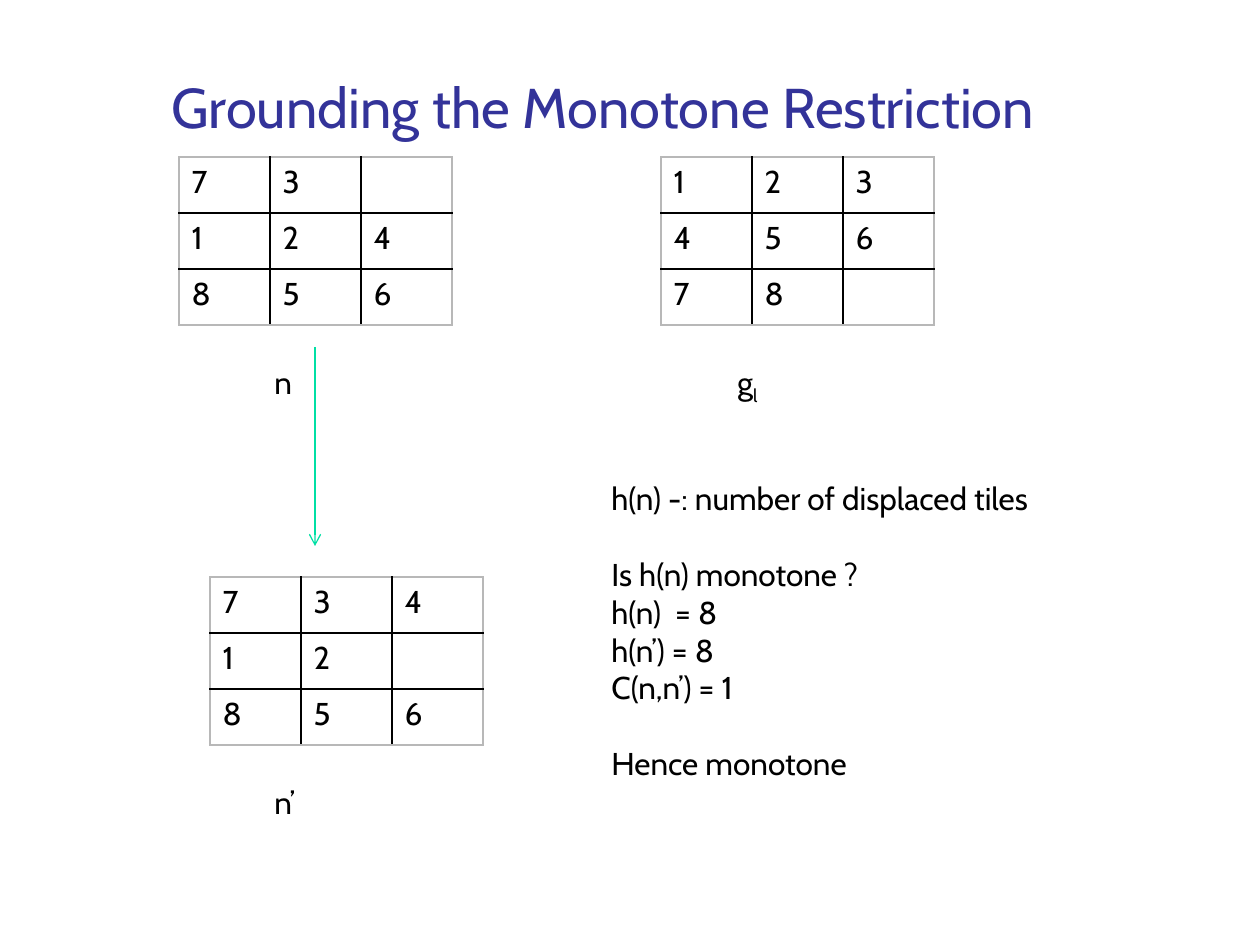
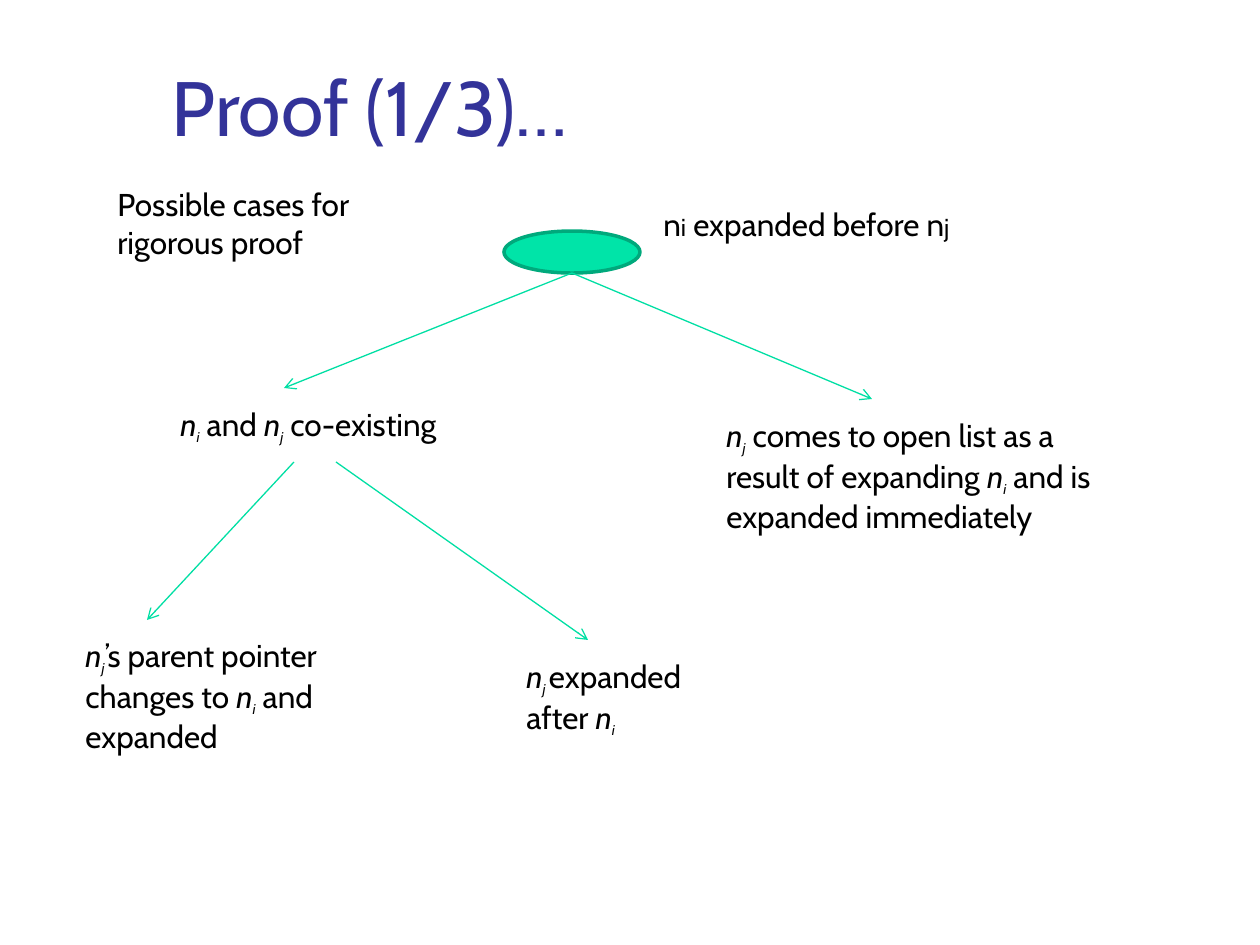
from dataclasses import dataclass

from lxml.etree import SubElement
from pptx import Presentation
from pptx.dml.color import RGBColor as Color
from pptx.enum.shapes import MSO_CONNECTOR as Connector, MSO_SHAPE as Shape
from pptx.enum.text import MSO_ANCHOR as Anchor, PP_ALIGN as Align
from pptx.oxml.ns import qn
from pptx.util import Emu, Pt


@dataclass(frozen=True)
class Theme:
    font: str = "Cabin"
    title: str = "333399"
    text: str = "000000"
    grid: str = "000000"
    frame: str = "B8B8B8"
    arrow: str = "00DFA4"
    node: str = "00E4A8"
    node_line: str = "00A97C"
    body_size: int = 18
    small_size: int = 14
    blank_line: float = 21.7


THEME = Theme()
EMU_PER_PX = 914400 / 126
CELL_WIDTH, CELL_HEIGHT = 91, 56
LOWERED = "-25000"

STYLES = {
    "plain": {},
    "italic": {"italic": True},
    "small": {"size": Pt(THEME.small_size)},
    "lowered": {},
    "index": {"italic": True, "size": Pt(THEME.small_size)},
}
LOWERED_STYLES = ("lowered", "index")

N_I = [("n", "italic"), ("i", "index")]
N_J = [("n", "italic"), ("j", "index")]

SLIDES = [
    {
        "title": ("Grounding the Monotone Restriction", 32, (159, 29, 1074, 117)),
        "puzzles": [
            ((179, 157), ["73 ", "124", "856"]),
            ((661, 157), ["123", "456", "78 "]),
            ((210, 577), ["734", "12 ", "856"]),
        ],
        "nodes": [],
        "arrows": [((315, 347), (315, 546))],
        "texts": [
            ((262, 357, 53, 50), ["n"]),
            ((725, 357, 63, 50), [[("g", "plain"), ("l", "lowered")]]),
            ((599, 473, 483, 318), [
                "h(n) -: number of displaced tiles",
                None,
                "Is h(n) monotone ?",
                "h(n)  = 8",
                "h(n’) = 8",
                "C(n,n’) = 1",
                None,
                "Hence monotone",
            ]),
            ((262, 777, 73, 53), ["n’"]),
        ],
    },
    {
        "title": ("Proof (1/3)…", 44, (159, 29, 1074, 129)),
        "puzzles": [],
        "nodes": [(504, 231, 136, 42)],
        "arrows": [
            ((572, 273), (284, 388)),
            ((572, 273), (872, 399)),
            ((294, 462), (147, 620)),
            ((336, 462), (588, 640)),
        ],
        "texts": [
            ((651, 199, 336, 50), [[
                ("n", "plain"), ("i", "small"),
                (" expanded before n", "plain"), ("j", "small"),
            ]]),
            ((168, 399, 305, 50), [
                [*N_I, (" and ", "plain"), *N_J, (" co-existing", "plain")],
            ]),
            ((714, 410, 431, 127), [[
                *N_J, (" comes to open list as a result of expanding ", "plain"),
                *N_I, (" and is expanded immediately", "plain"),
            ]]),
            ((73, 630, 284, 127), [[
                *N_J, ("’s parent pointer changes to ", "plain"),
                *N_I, (" and expanded", "plain"),
            ]]),
            ((514, 651, 221, 89), [[
                ("n", "italic"), ("j ", "index"), ("expanded after ", "plain"), *N_I,
            ]]),
            ((105, 179, 262, 89), ["Possible cases for rigorous proof"]),
        ],
    },
]


def px(*lengths):
    return [Emu(round(length * EMU_PER_PX)) for length in lengths]


def set_attributes(target, values):
    for name, value in values.items():
        setattr(target, name, value)


def add_run(paragraph, text, style="plain", size=THEME.body_size, color=THEME.text):
    run = paragraph.add_run()
    run.text = text
    set_attributes(run.font, {"name": THEME.font, "size": Pt(size), **STYLES[style]})
    run.font.color.rgb = Color.from_string(color)
    if style in LOWERED_STYLES:
        run._r.get_or_add_rPr().set("baseline", LOWERED)


def write_title(slide, text, size, box):
    title = slide.shapes.title
    set_attributes(title, dict(zip(("left", "top", "width", "height"), px(*box))))
    set_attributes(title.text_frame, {"vertical_anchor": Anchor.BOTTOM, "word_wrap": True})
    paragraph = title.text_frame.paragraphs[0]
    paragraph.alignment = Align.LEFT
    add_run(paragraph, text, size=size, color=THEME.title)


def add_text(slide, box, lines):
    frame = slide.shapes.add_textbox(*px(*box)).text_frame
    frame.word_wrap = True
    paragraph = None
    after_gap = False
    for line in lines:
        if line is None:
            after_gap = True
            continue
        paragraph = frame.add_paragraph() if paragraph else frame.paragraphs[0]
        if after_gap:
            paragraph.space_before = Pt(THEME.blank_line)
            after_gap = False
        for text, style in [(line, "plain")] if isinstance(line, str) else line:
            add_run(paragraph, text, style)


def add_border(properties, side, color):
    line = SubElement(properties, qn(f"a:{side}"), w=str(Pt(1)))
    fill = SubElement(line, qn("a:solidFill"))
    SubElement(fill, qn("a:srgbClr"), val=color)


def add_puzzle(slide, corner, rows):
    last_row, last_column = len(rows) - 1, len(rows[0]) - 1
    size = CELL_WIDTH * (last_column + 1), CELL_HEIGHT * (last_row + 1)
    table = slide.shapes.add_table(len(rows), len(rows[0]), *px(*corner, *size)).table
    set_attributes(table, {"first_row": False, "horz_banding": False})
    for row, tiles in enumerate(rows):
        for column, tile in enumerate(tiles):
            cell = table.cell(row, column)
            if tile != " ":
                add_run(cell.text_frame.paragraphs[0], tile)
            properties = cell._tc.get_or_add_tcPr()
            outer_sides = {
                "lnL": column == 0,
                "lnR": column == last_column,
                "lnT": row == 0,
                "lnB": row == last_row,
            }
            for side, outer in outer_sides.items():
                add_border(properties, side, THEME.frame if outer else THEME.grid)
            cell.fill.background()


def add_node(slide, box):
    node = slide.shapes.add_shape(Shape.OVAL, *px(*box))
    node.shadow.inherit = False
    node.fill.solid()
    node.fill.fore_color.rgb = Color.from_string(THEME.node)
    node.line.color.rgb = Color.from_string(THEME.node_line)
    node.line.width = Pt(2)


def add_arrow(slide, start, end):
    arrow = slide.shapes.add_connector(Connector.STRAIGHT, *px(*start, *end))
    arrow.line.color.rgb = Color.from_string(THEME.arrow)
    arrow.line.width = Pt(0.75)
    SubElement(arrow.line._get_or_add_ln(), qn("a:tailEnd"), type="arrow")
    SubElement(arrow._element.spPr, qn("a:effectLst"))


def main():
    presentation = Presentation()
    width, height = px(1260, 945)
    set_attributes(presentation, {"slide_width": width, "slide_height": height})
    for content in SLIDES:
        slide = presentation.slides.add_slide(presentation.slide_layouts[5])
        write_title(slide, *content["title"])
        for corner, rows in content["puzzles"]:
            add_puzzle(slide, corner, rows)
        for box in content["nodes"]:
            add_node(slide, box)
        for start, end in content["arrows"]:
            add_arrow(slide, start, end)
        for box, lines in content["texts"]:
            add_text(slide, box, lines)
    presentation.save("out.pptx")


if __name__ == "__main__":
    main()
